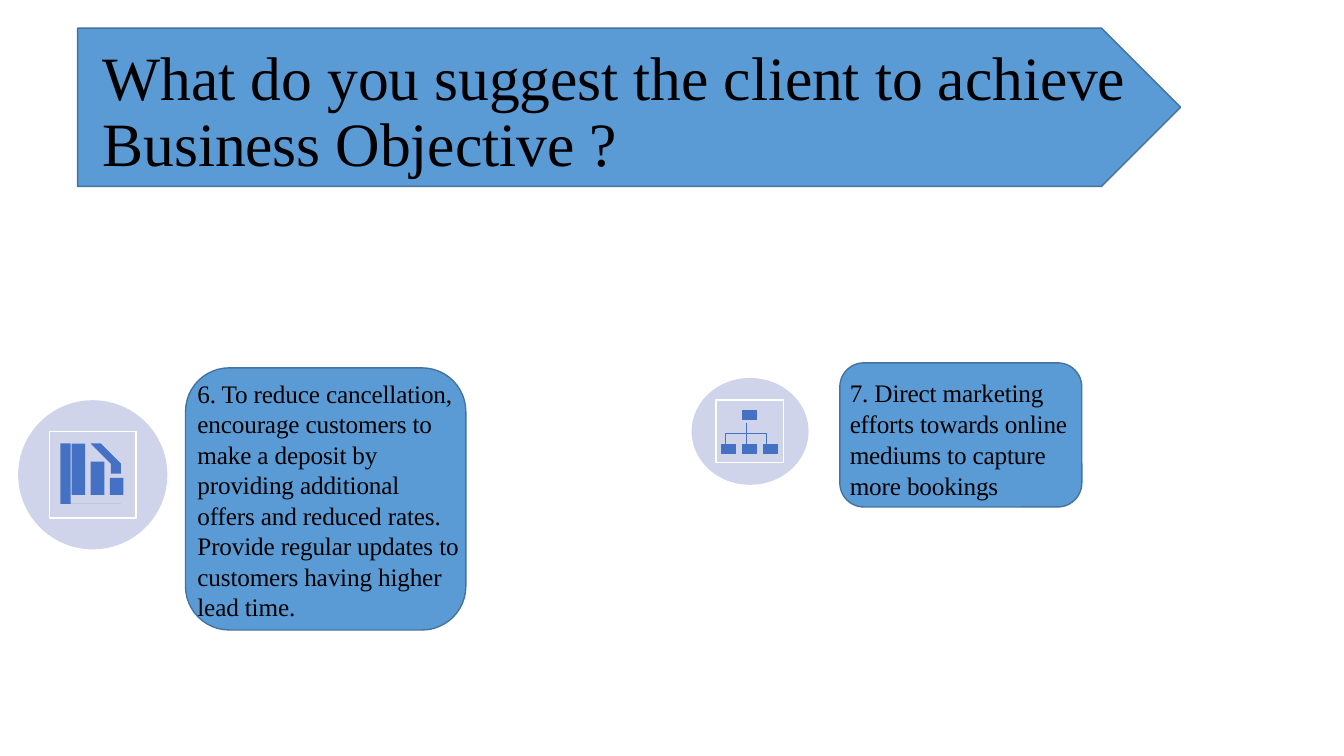
import pptx
import pptx.util
import pptx.dml.color
import pptx.enum.shapes
import pptx.enum.text

# Grid: square cells of a tenth of an inch, 133.3 columns by 75 rows
CELL = pptx.util.Inches(0.1)
HUES = {"panel": "5B9BD5", "edge": "43739E", "disc": "CFD4EA",
        "icon": "4471C4", "frame": "FFFFFF", "text": "000000"}
KIND = pptx.enum.shapes.MSO_SHAPE

deck = pptx.Presentation()
deck.slide_width = round(133.3 * CELL)
deck.slide_height = 75 * CELL
slide = deck.slides.add_slide(deck.slide_layouts[6])


def draw(kind, box, fill=None, line=None, width=1):
    """Add a preset shape, or a freeform when kind is None and box lists points."""
    if kind is None:
        pen = slide.shapes.build_freeform(*box[0], scale=CELL)
        pen.add_line_segments(box[1:], close=True)
        shape = pen.convert_to_shape()
    else:
        shape = slide.shapes.add_shape(kind, *[round(n * CELL) for n in box])
    shape.shadow.inherit = False
    for part, hue in ((shape.fill, fill), (shape.line.fill, line)):
        if hue:
            part.solid()
            part.fore_color.rgb = pptx.dml.color.RGBColor.from_string(HUES[hue])
        else:
            part.background()
    if line:
        shape.line.width = pptx.util.Pt(width)
    return shape


# Blue panels
for kind, box in (
    (KIND.ROUNDED_RECTANGLE, (83.3, 36, 24, 14.3)),
    (KIND.ROUNDED_RECTANGLE, (18.4, 36.5, 27.8, 26)),
    (KIND.PENTAGON, (7.7, 2.8, 109.4, 15.7)),
):
    draw(kind, box, "panel", "edge")

# Title and the two suggestions: box, size, line spacing, space before, anchor
TOP = pptx.enum.text.MSO_ANCHOR.TOP
MID = pptx.enum.text.MSO_ANCHOR.MIDDLE
for words, box, size, gap, lead, hold in (
    ("What do you suggest the client to achieve Business Objective ?",
     (9.2, 4, 115, 14.5), 44, 0.9, 0, MID),
    ("6. To reduce cancellation, encourage customers to make a deposit by "
     "providing additional offers and reduced rates. Provide regular updates "
     "to customers having higher lead time.",
     (18.6, 37, 27.7, 28.6), 18, 1.01, 0.6, TOP),
    ("7. Direct marketing efforts towards online mediums to capture more bookings",
     (83.3, 36.9, 25.7, 13.4), 18, 1.02, 0.6, TOP),
):
    frame = slide.shapes.add_textbox(*[round(n * CELL) for n in box]).text_frame
    frame.word_wrap = True
    frame.vertical_anchor = hold
    frame.margin_right = round(0.7 * CELL)
    frame.text = words
    para = frame.paragraphs[0]
    para.line_spacing = gap
    para.space_before = pptx.util.Pt(lead)
    run = para.runs[0]
    run.font.name = "Times New Roman"
    run.font.size = pptx.util.Pt(size)
    run.font.color.rgb = pptx.dml.color.RGBColor.from_string(HUES["text"])
    run.font._element.set("spc", "-10")  # slightly tight letters

# Falling bars icon: disc, bars, arrow, axes, frame
draw(KIND.OVAL, (1.8, 39.7, 14.8, 14.8), "disc")
BASE = 49.1
for col, top in enumerate((44, 45.8, 47.4)):
    draw(KIND.RECTANGLE, (7.1 + 1.9 * col, top, 1.35, BASE - top), "icon")
draw(None, [(12.1, 45.6), (11.6, 46.1), (9.5, 44), (9.2, 44.2),
            (11.4, 46.4), (10.9, 46.8), (12.1, 46.8)], "icon")
draw(None, [(6.1, 44), (6.6, 44), (6.6, 49.7), (12.2, 49.7),
            (12.2, 50.2), (6.1, 50.2)], "icon")
draw(KIND.RECTANGLE, (4.9, 42.8, 8.6, 8.6), line="frame")

# Hierarchy icon: disc, nodes, branches, frame
draw(KIND.OVAL, (68.6, 37.5, 11.6, 10.6), "disc")
for left, top in ((73.6, 40.7), (71.6, 44.1), (73.6, 44.1), (75.7, 44.1)):
    draw(KIND.RECTANGLE, (left, top, 1.4, 0.9), "icon", "icon", 0.75)
draw(None, [(74.5, 42.7), (74.5, 41.8), (74.2, 41.8), (74.2, 42.7),
            (72.1, 42.7), (72.1, 43.8), (72.4, 43.8), (72.4, 42.9),
            (74.2, 42.9), (74.2, 43.8), (74.5, 43.8), (74.5, 42.9),
            (76.3, 42.9), (76.3, 43.8), (76.5, 43.8), (76.5, 42.7)],
     "icon", "icon", 0.75)
draw(KIND.RECTANGLE, (71, 39.7, 6.7, 6.2), line="frame")

deck.save("out.pptx")
